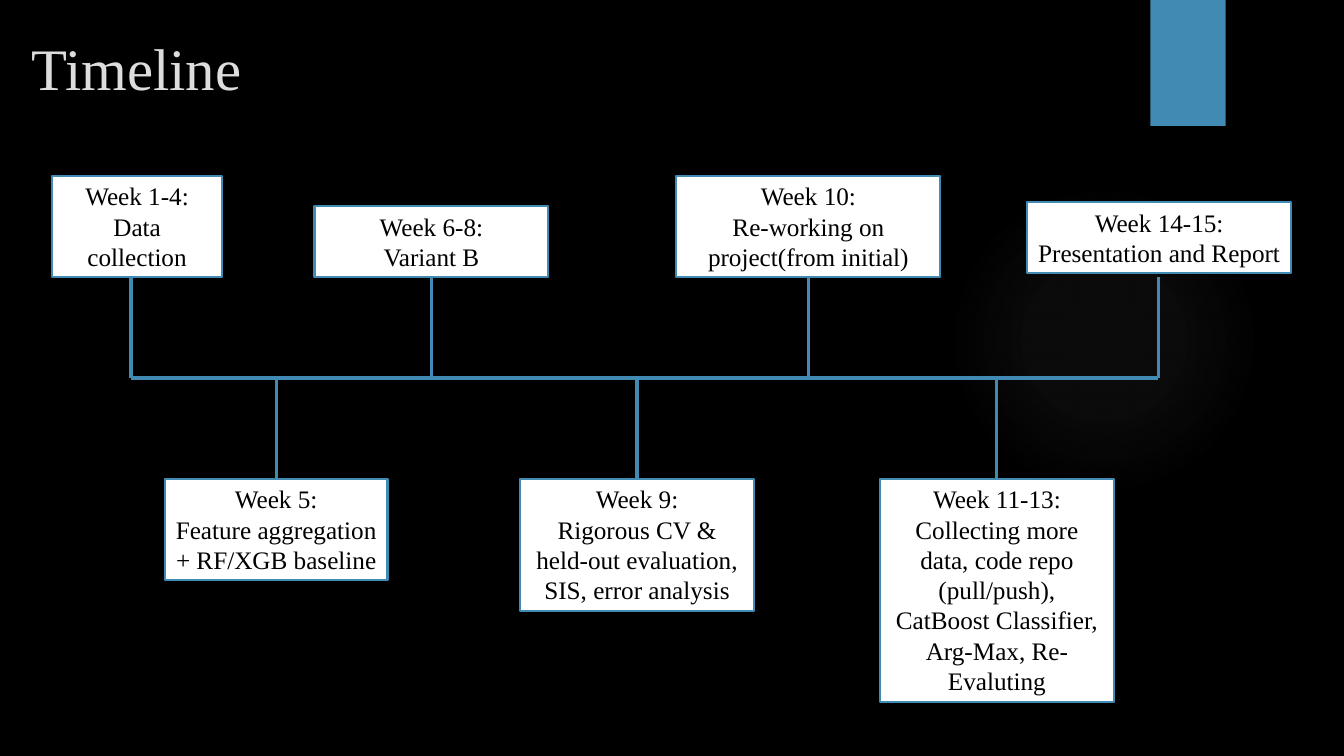
import pptx
import pptx.util
import pptx.dml.color
import pptx.enum.shapes
import pptx.enum.text
import pptx.oxml
import pptx.oxml.ns

COLORS = {"back": "000000", "accent": "418AB3", "title": "DDDDDD",
          "card": "FFFFFF", "ink": "000000", "glow": "9E9E9E"}
rgb = {name: pptx.dml.color.RGBColor.from_string(value) for name, value in COLORS.items()}
SHAPES = pptx.enum.shapes.MSO_SHAPE
ALIGN = pptx.enum.text.PP_ALIGN
ANCHOR = pptx.enum.text.MSO_ANCHOR

deck = pptx.Presentation()
deck.slide_width = pptx.util.Inches(13.333)
deck.slide_height = pptx.util.Inches(7.5)
COLUMN = deck.slide_width / 40
ROW = deck.slide_height / 30


def grid(left, top, width, height):
    """Turn columns and rows into slide lengths."""
    return [round(left * COLUMN), round(top * ROW), round(width * COLUMN), round(height * ROW)]


def write(para, text, size, color):
    span = para.add_run()
    span.text = text
    style = {"name": "Times New Roman", "size": pptx.util.Pt(size)}
    for key, value in style.items():
        setattr(span.font, key, value)
    span.font.color.rgb = rgb[color]


page = deck.slides.add_slide(deck.slide_layouts[5])
page.background.fill.solid()
page.background.fill.fore_color.rgb = rgb["back"]

# Soft round glow and the tab at the top edge
glow = page.shapes.add_shape(SHAPES.OVAL, *grid(28.23, 7.32, 9.24, 12.32))
glow.shadow.inherit = False
glow.line.fill.background()
stops = "".join(
    f'<a:gs pos="{place * 1000}"><a:srgbClr val="{COLORS["glow"]}">'
    f'<a:alpha val="{alpha * 1000}"/></a:srgbClr></a:gs>'
    for place, alpha in [(0, 7), (36, 6), (69, 0)])
gradient = pptx.oxml.parse_xml(
    f'<a:gradFill {pptx.oxml.ns.nsdecls("a")}><a:gsLst>{stops}</a:gsLst><a:path path="circle">'
    '<a:fillToRect l="50000" t="50000" r="50000" b="50000"/></a:path></a:gradFill>')
glow._element.spPr.find(pptx.oxml.ns.qn("a:prstGeom")).addnext(gradient)

tab = page.shapes.add_shape(SHAPES.RECTANGLE, *grid(34.24, 0, 2.24, 5))
tab.shadow.inherit = False
tab.fill.solid()
tab.fill.fore_color.rgb = rgb["accent"]
tab.line.fill.background()

title = page.shapes.title
title.left, title.top, title.width, title.height = grid(0.63, 0.92, 30.87, 3.48)
title.text_frame.vertical_anchor = ANCHOR.MIDDLE
title.text_frame.paragraphs[0].alignment = ALIGN.LEFT
write(title.text_frame.paragraphs[0], "Timeline", 42, "title")

# Stem column, card width, card shift (columns, rows), text lines, wording
AXIS, STEM = 15, 4
above = [
    (3.9, 5.04, (0.18, 0), 3, ["Week 1-4: Data collection"]),
    (12.84, 6.96, (0, 0), 2, ["Week 6-8:", "Variant B"]),
    (24.06, 7.86, (0, 0), 3, ["Week 10:", "Re-working on project(from initial)"]),
    (34.47, 7.86, (0.03, -0.16), 2, ["Week 14-15:", "Presentation and Report"]),
]
below = [
    (8.22, 6.63, (0, 0), 3, ["Week 5:", "Feature aggregation + RF/XGB baseline"]),
    (18.96, 6.96, (0, 0), 4,
     ["Week 9:", "Rigorous CV & held-out evaluation, SIS, error analysis"]),
    (29.67, 6.96, (0, 0), 7,
     ["Week 11-13: Collecting more data, code repo (pull/push), CatBoost Classifier, "
      "Arg-Max, Re-Evaluting"]),
]

lines = [(above[0][0], AXIS, above[-1][0], AXIS)]
lines += [(step[0], AXIS, step[0], AXIS - STEM) for step in above]
lines += [(step[0], AXIS + STEM, step[0], AXIS) for step in below]
for ends in lines:
    line = page.shapes.add_connector(pptx.enum.shapes.MSO_CONNECTOR.STRAIGHT, *grid(*ends))
    line.line.color.rgb = rgb["accent"]
    line.line.width = pptx.util.Pt(2.25)
    line._element.spPr.append(pptx.oxml.parse_xml(
        f'<a:effectLst {pptx.oxml.ns.nsdecls("a")}/>'))

for step in above + below:
    stem, width, (right, down), line_count, wording = step
    height = 0.4 + 1.21 * line_count
    top = AXIS - STEM - height if step in above else AXIS + STEM
    card = page.shapes.add_shape(
        SHAPES.RECTANGLE, *grid(stem - width / 2 + right, top + down, width, height))
    card.shadow.inherit = False
    card.fill.solid()
    card.fill.fore_color.rgb = rgb["card"]
    card.line.color.rgb = rgb["accent"]
    card.line.width = pptx.util.Pt(1.5)
    frame = card.text_frame
    layout = {"word_wrap": True, "vertical_anchor": ANCHOR.TOP,
              "auto_size": pptx.enum.text.MSO_AUTO_SIZE.SHAPE_TO_FIT_TEXT}
    for key, value in layout.items():
        setattr(frame, key, value)
    for index, text in enumerate(wording):
        para = frame.add_paragraph() if index else frame.paragraphs[0]
        para.alignment = ALIGN.CENTER
        write(para, text, 18, "ink")

deck.save("out.pptx")
